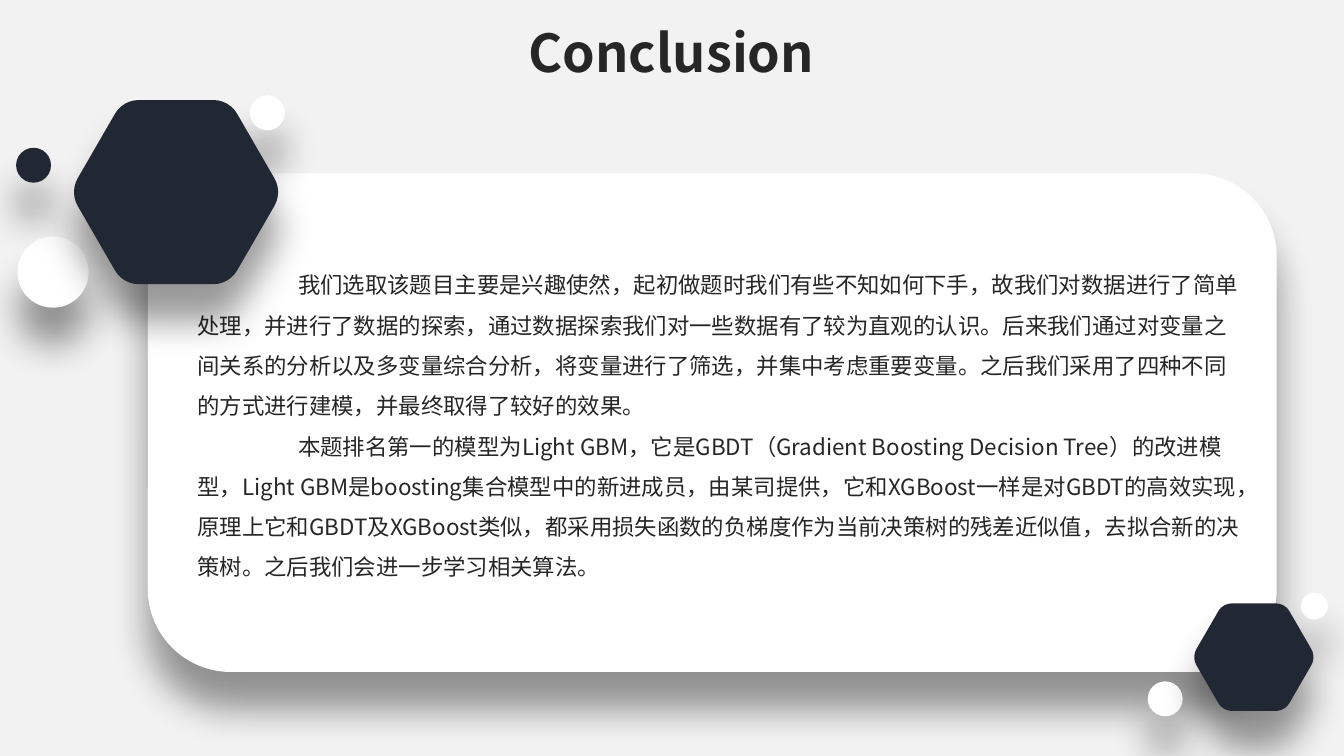
from math import cos, radians, sin, sqrt

from lxml import etree
from pptx import Presentation
from pptx.dml.color import RGBColor
from pptx.enum.shapes import MSO_SHAPE
from pptx.enum.text import MSO_ANCHOR, MSO_AUTO_SIZE, PP_ALIGN
from pptx.oxml.ns import qn
from pptx.util import Inches, Pt

ROUNDED, OVAL = MSO_SHAPE.ROUNDED_RECTANGLE, MSO_SHAPE.OVAL
TOP, LEFT, CENTER = MSO_ANCHOR.TOP, PP_ALIGN.LEFT, PP_ALIGN.CENTER
TITLE_ONLY = 5
FONT = "Noto Sans CJK SC"
COLORS = {"background": "F2F2F2", "white": "FFFFFF", "navy": "212834",
          "text": "262626", "shadow": "000000"}

# Content
TITLE = "Conclusion"
PARAGRAPHS = [
    "我们选取该题目主要是兴趣使然，起初做题时我们有些不知如何下手，故我们对数据进行了简单处理，"
    "并进行了数据的探索，通过数据探索我们对一些数据有了较为直观的认识。后来我们通过对变量之间关系的"
    "分析以及多变量综合分析，将变量进行了筛选，并集中考虑重要变量。之后我们采用了四种不同的方式进行"
    "建模，并最终取得了较好的效果。",
    "本题排名第一的模型为Light GBM，它是GBDT（Gradient Boosting Decision Tree）的改进模型，"
    "Light GBM是boosting集合模型中的新进成员，由某司提供，它和XGBoost一样是对GBDT的高效实现，"
    "原理上它和GBDT及XGBoost类似，都采用损失函数的负梯度作为当前决策树的残差近似值，去拟合新的"
    "决策树。之后我们会进一步学习相关算法。",
]
CARD = (1.1, 1.29, 8.4, 3.71)
# left, top, diameter, color
BALLS = [
    (0.13, 1.76, 0.53, "white"),
    (0.12, 1.1, 0.26, "navy"),
    (1.86, 0.71, 0.26, "white"),
    (8.54, 5.07, 0.26, "white"),
    (9.68, 4.41, 0.2, "white"),
]
# center x, center y, height
HEXAGONS = [(1.31, 1.43, 1.37), (9.33, 4.89, 0.8)]


def color(name):
    return RGBColor.from_string(COLORS[name])


def style_shape(shape, fill):
    """Flat fill without outline, over a soft shadow straight below."""
    shape.fill.solid()
    shape.fill.fore_color.rgb = color(fill)
    shape.line.fill.background()
    shape.shadow.inherit = False
    effects = shape._element.spPr.find(qn("a:effectLst"))
    shadow = etree.SubElement(
        effects, qn("a:outerShdw"), blurRad=str(Pt(20)), dist=str(Pt(20)),
        dir="5400000", algn="t", rotWithShape="0")
    shade = etree.SubElement(shadow, qn("a:srgbClr"), val=COLORS["shadow"])
    etree.SubElement(shade, qn("a:alpha"), val="40000")


def add_shape(slide, kind, box, fill):
    shape = slide.shapes.add_shape(kind, *map(Inches, box))
    style_shape(shape, fill)


def add_hexagon(slide, center_x, center_y, height, fill):
    """Regular hexagon whose corners are arcs."""
    radius = height * 0.15
    reach = (height / 2 - radius) * 2 / sqrt(3)
    points = []
    for corner in range(0, 360, 60):
        for turn in range(-30, 31, 10):
            x = center_x + reach * cos(radians(corner)) + radius * cos(radians(corner + turn))
            y = center_y + reach * sin(radians(corner)) + radius * sin(radians(corner + turn))
            points.append((Inches(x), Inches(y)))
    builder = slide.shapes.build_freeform(*points[0])
    builder.add_line_segments(points[1:], close=True)
    style_shape(builder.convert_to_shape(), fill)


def write_text(shape, paragraphs, size, bold=False, align=LEFT, spacing=1.0,
               indent=0, wrap=True):
    frame = shape.text_frame
    frame.word_wrap = wrap
    frame.auto_size = MSO_AUTO_SIZE.SHAPE_TO_FIT_TEXT
    frame.vertical_anchor = TOP
    for index, text in enumerate(paragraphs):
        paragraph = frame.add_paragraph() if index else frame.paragraphs[0]
        paragraph.alignment = align
        paragraph.line_spacing = spacing
        paragraph.space_before = Pt(0)
        if indent:
            paragraph._p.get_or_add_pPr().set("indent", str(Inches(indent)))
        run = paragraph.add_run()
        run.text = text
        run.font.size = Pt(size)
        run.font.bold = bold
        run.font.color.rgb = color("text")
        run.font.name = FONT
        etree.SubElement(run._r.get_or_add_rPr(), qn("a:ea"), typeface=FONT)


# A 16:9 slide
presentation = Presentation()
presentation.slide_width = Inches(10)
presentation.slide_height = Inches(10 * 9 / 16)
slide = presentation.slides.add_slide(presentation.slide_layouts[TITLE_ONLY])
slide.background.fill.solid()
slide.background.fill.fore_color.rgb = color("background")

# Card and balls
add_shape(slide, ROUNDED, CARD, "white")
for left, top, diameter, fill in BALLS:
    add_shape(slide, OVAL, (left, top, diameter, diameter), fill)

# Body text
body = slide.shapes.add_textbox(*map(Inches, (1.37, 1.87, 7.96, 2.49)))
write_text(body, PARAGRAPHS, 12, spacing=1.5, indent=0.75)

# Hexagons
for center_x, center_y, height in HEXAGONS:
    add_hexagon(slide, center_x, center_y, height, "navy")

# Title
title = slide.shapes.title
title.left, title.top, title.width, title.height = map(Inches, (3.81, 0.1, 2.37, 0.57))
write_text(title, [TITLE], 28, bold=True, align=CENTER, wrap=False)

presentation.save("out.pptx")
